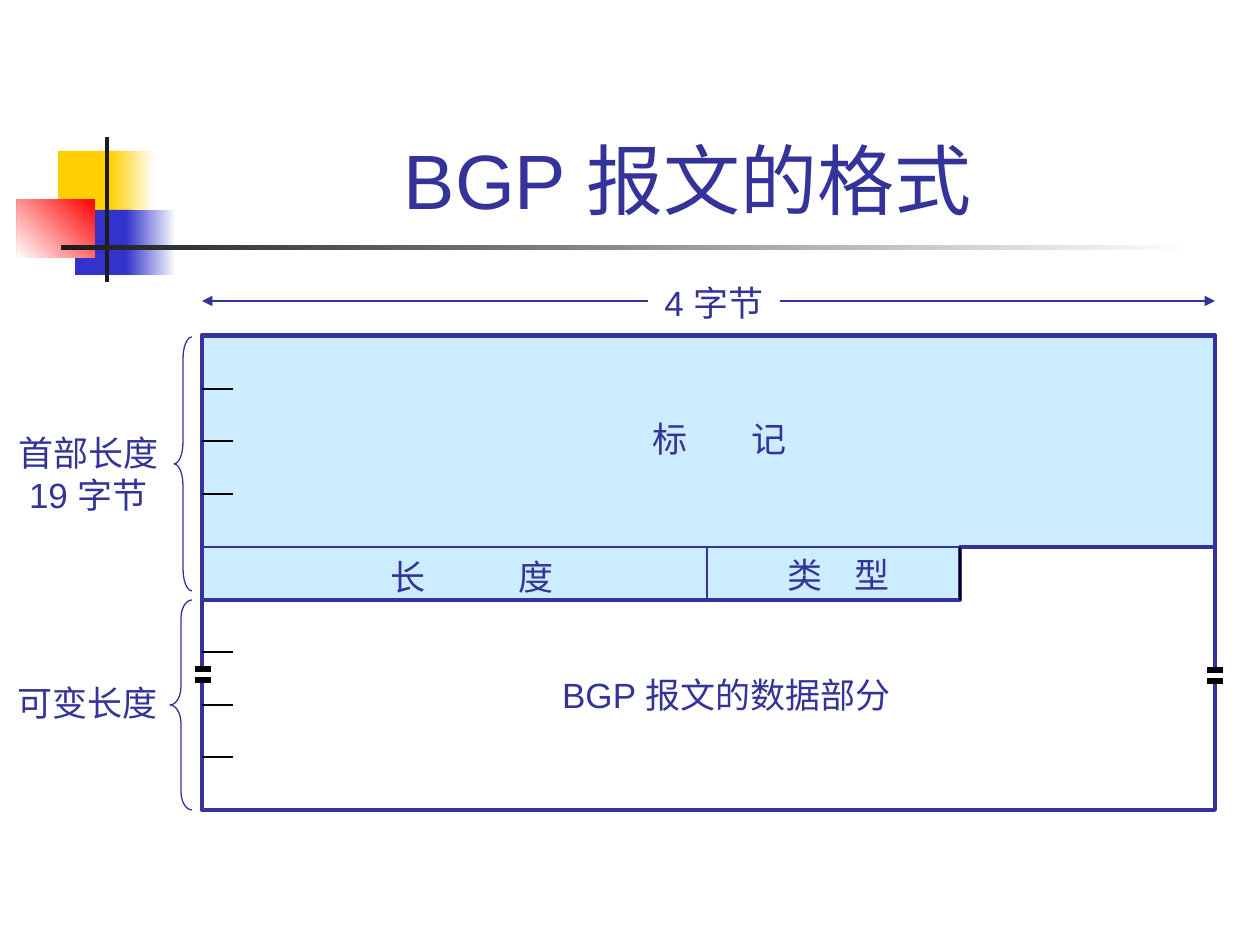
from pptx import Presentation
from pptx.dml.color import RGBColor
from pptx.enum.shapes import MSO_CONNECTOR, MSO_SHAPE
from pptx.enum.text import MSO_ANCHOR, PP_ALIGN
from pptx.oxml.ns import qn
from pptx.util import Pt
from lxml.etree import SubElement

SCALE = 914400 / 126  # EMU per px
COLORS = {key: RGBColor.from_string(value) for key, value in {
    "ink": "333399", "header": "CCECFF", "white": "FFFFFF", "black": "000000",
    "yellow": "FFCF01", "blue": "3333CC", "red": "FF0000", "bar": "1C1C1C",
}.items()}


def emu(*lengths):
    return [round(length * SCALE) for length in lengths]


def add_line(start, end, color, width):
    connector = slide.shapes.add_connector(MSO_CONNECTOR.STRAIGHT, *emu(*start, *end))
    connector.line.color.rgb = COLORS[color]
    connector.line.width = Pt(width)
    SubElement(connector._element.spPr, qn("a:effectLst"))
    return connector


presentation = Presentation()
presentation.slide_width, presentation.slide_height = emu(1260, 945)
slide = presentation.slides.add_slide(presentation.slide_layouts[5])

# Corner ornament: solid blocks, and blocks that fade to white at an angle
for left, top, width, height, color, fade_angle in [
    (58, 151, 60, 66, "yellow", None),
    (110, 151, 45, 66, "yellow", 0),
    (75, 210, 58, 65, "blue", None),
    (126, 210, 50, 65, "blue", 0),
    (17, 199, 78, 59, "red", 225),
    (105, 137, 4, 145, "bar", None),
    (61, 245, 1134, 5, "bar", 0),
]:
    block = slide.shapes.add_shape(MSO_SHAPE.RECTANGLE, *emu(left, top, width, height))
    block.shadow.inherit = False
    block.line.fill.background()
    if fade_angle is None:
        block.fill.solid()
        block.fill.fore_color.rgb = COLORS[color]
    else:
        block.fill.gradient()
        block.fill.gradient_angle = fade_angle
        for stop, stop_color in zip(block.fill.gradient_stops, (color, "white")):
            stop.color.rgb = COLORS[stop_color]

title = slide.shapes.title
title.left, title.top, title.width, title.height = emu(151, 29, 1074, 202)
title.text_frame.vertical_anchor = MSO_ANCHOR.BOTTOM
paragraph = title.text_frame.paragraphs[0]
paragraph.alignment = PP_ALIGN.CENTER
run = paragraph.add_run()
run.text = "BGP 报文的格式"
run.font.size = Pt(44)
run.font.name = "Arial"
run.font.color.rgb = COLORS["ink"]

# Width arrow, pointed at both ends
width_arrow = add_line((202, 301), (1215, 301), "ink", 0.75)
for end_name in ("a:headEnd", "a:tailEnd"):
    SubElement(width_arrow.line._get_or_add_ln(), qn(end_name), type="triangle")

# Message frame: stepped header area and full outline
LEFT, RIGHT, TOP, BOTTOM = 202, 1215, 336, 810
ROW_TOP, ROW_BOTTOM, TYPE_LEFT, TYPE_RIGHT = 547, 600, 707, 960
builder = slide.shapes.build_freeform(LEFT, TOP, scale=SCALE)
builder.add_line_segments([
    (LEFT, ROW_BOTTOM), (TYPE_RIGHT, ROW_BOTTOM), (TYPE_RIGHT, ROW_TOP),
    (RIGHT, ROW_TOP), (RIGHT, TOP),
], close=True)
header = builder.convert_to_shape()
header.fill.solid()
header.fill.fore_color.rgb = COLORS["header"]
frame = slide.shapes.add_shape(
    MSO_SHAPE.RECTANGLE, *emu(LEFT, TOP - 1, RIGHT - LEFT, BOTTOM - TOP + 1))
frame.fill.background()
for outline in (header, frame):
    outline.shadow.inherit = False
    outline.line.color.rgb = COLORS["ink"]
    outline.line.width = Pt(2.25)

add_line((LEFT, ROW_TOP), (RIGHT, ROW_TOP), "ink", 1)
add_line((TYPE_LEFT, ROW_TOP), (TYPE_LEFT, ROW_BOTTOM), "ink", 1)
add_line((TYPE_RIGHT, ROW_TOP), (TYPE_RIGHT, ROW_BOTTOM), "black", 1)

# Row ticks: nine equal rows, marked where no field border runs
for row in (1, 2, 3, 6, 7, 8):
    tick_y = round(TOP + row * (BOTTOM - TOP) / 9)
    add_line((LEFT, tick_y), (LEFT + 31, tick_y), "black", 0.75)

# Break marks on both sides of the frame
for center, top in ((LEFT + 1, 669), (RIGHT, 670)):
    gap = slide.shapes.add_shape(MSO_SHAPE.RECTANGLE, *emu(center - 11, top + 1, 22, 11))
    gap.shadow.inherit = False
    gap.fill.solid()
    gap.fill.fore_color.rgb = COLORS["white"]
    gap.line.fill.background()
    for mark_y in (top, top + 11):
        add_line((center - 8, mark_y), (center + 8, mark_y), "black", 3)

# Braces: the last value is the curve height relative to the width
for left, top, width, height, curve in [
    (174, 337, 18, 254, 1.2),
    (170, 600, 22, 210, 0.83),
]:
    brace = slide.shapes.add_shape(MSO_SHAPE.LEFT_BRACE, *emu(left, top, width, height))
    brace.adjustments[0] = curve
    brace.shadow.inherit = False
    brace.fill.background()
    brace.line.color.rgb = COLORS["ink"]
    brace.line.width = Pt(0.75)

# Labels: a tab stop sets the second character of a spread field name
for left, top, width, height, lines, tab, fill in [
    (648, 275, 132, 54, ["4 字节"], None, "white"),
    (653, 411, 140, 54, ["标\t记"], 99, None),
    (390, 549, 170, 54, ["长\t度"], 129, None),
    (787, 547, 110, 54, ["类\t型"], 67, None),
    (545, 667, 363, 54, ["BGP 报文的数据部分"], None, None),
    (5, 675, 165, 54, ["可变长度"], None, None),
    (6, 425, 165, 96, ["首部长度", "19 字节"], None, None),
]:
    label = slide.shapes.add_textbox(*emu(left, top, width, height))
    if fill:
        label.fill.solid()
        label.fill.fore_color.rgb = COLORS[fill]
    text_frame = label.text_frame
    text_frame.word_wrap = True
    text_frame.margin_left = text_frame.margin_right = 0
    for index, line in enumerate(lines):
        paragraph = text_frame.add_paragraph() if index else text_frame.paragraphs[0]
        paragraph.alignment = PP_ALIGN.LEFT if tab else PP_ALIGN.CENTER
        if tab:
            tab_list = SubElement(paragraph._p.get_or_add_pPr(), qn("a:tabLst"))
            SubElement(tab_list, qn("a:tab"), pos=str(emu(tab)[0]), algn="l")
        run = paragraph.add_run()
        run.text = line
        run.font.size = Pt(20)
        run.font.name = "Arial"
        run.font.color.rgb = COLORS["ink"]

presentation.save("out.pptx")
